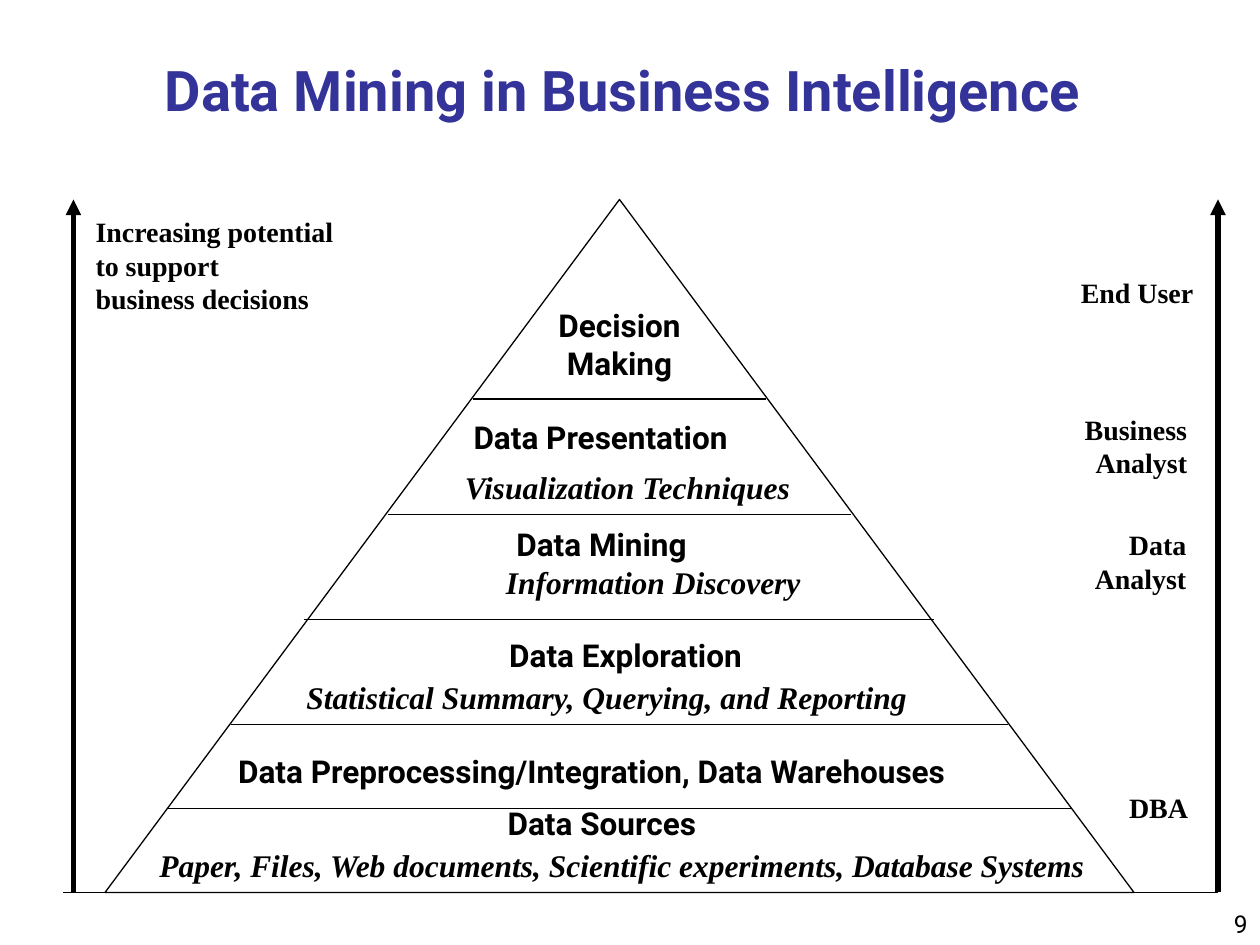
from lxml.etree import SubElement
from pptx import Presentation
from pptx.dml.color import RGBColor
from pptx.enum.shapes import MSO_CONNECTOR, MSO_SHAPE
from pptx.enum.text import MSO_ANCHOR, MSO_AUTO_SIZE, PP_ALIGN
from pptx.oxml.ns import qn
from pptx.util import Pt

COLORS = {"title": "333399", "ink": "000000"}
SANS, SERIF = "Roboto", "Times New Roman"
LEFT, CENTER, RIGHT = PP_ALIGN.LEFT, PP_ALIGN.CENTER, PP_ALIGN.RIGHT

TITLE = "Data Mining in Business Intelligence "
PAGE_NUMBER = "9"

# Pyramid: text, (left, top, width, height), alignment, wrap
LEVELS = [
    ("Decision Making", (306, 171.5, 96, 50.5), CENTER, True),
    ("Data Presentation", (263.5, 235.5, 178.5, 29), LEFT, False),
    ("Data Mining", (288, 296.5, 140.5, 29), LEFT, True),
    ("Data Exploration", (265, 360, 185, 29), CENTER, True),
    ("Data Preprocessing/Integration, Data Warehouses", (129, 426, 468, 29), LEFT, False),
    ("Data Sources", (283, 456, 132, 29), LEFT, False),
]
DETAILS = [
    ("Visualization Techniques", (258.5, 264, 203, 29), False),
    ("Information Discovery", (282, 318, 183, 29), False),
    ("Statistical Summary, Querying, and Reporting", (168, 384, 360, 29), True),
    ("Paper, Files, Web documents, Scientific experiments, Database Systems",
     (84, 480, 561, 29), True),
]

# Labels beside the arrows
POTENTIAL = ("Increasing potential\nto support\nbusiness decisions", (47.5, 119, 150.5, 65))
ROLES = [
    ("End User", (610.5, 154, 78.5, 26.5)),
    ("Business\nAnalyst", (610.5, 232, 75, 46)),
    ("Data\nAnalyst", (618, 298, 67, 46)),
    ("DBA", (638, 448, 48, 26.5)),
]

# Geometry
APEX, BASE = 114, 510
PYRAMID_LEFT, PYRAMID_WIDTH = 60, 588
DIVIDERS = [(96, 612, 462), (132, 576, 414), (174, 534, 354), (222, 486, 294), (270, 438, 228)]
ARROWS = [42, 696]

deck = Presentation()
deck.slide_width, deck.slide_height = Pt(720), Pt(540)
slide = deck.slides.add_slide(deck.slide_layouts[6])


def add_text(text, box, font=SANS, size=18, color="ink", bold=True, italic=False,
             align=LEFT, anchor=MSO_ANCHOR.TOP, wrap=False, grow=True):
    frame = slide.shapes.add_textbox(*map(Pt, box)).text_frame
    frame.word_wrap = wrap
    frame.vertical_anchor = anchor
    frame.auto_size = MSO_AUTO_SIZE.SHAPE_TO_FIT_TEXT if grow else MSO_AUTO_SIZE.NONE
    frame.text = text
    for paragraph in frame.paragraphs:
        paragraph.alignment = align
        style = paragraph.runs[0].font
        style.name, style.size = font, Pt(size)
        style.bold, style.italic = bold, italic
        style.color.rgb = RGBColor.from_string(COLORS[color])


def add_line(x1, y1, x2, y2, width=0.75, arrow=False):
    connector = slide.shapes.add_connector(MSO_CONNECTOR.STRAIGHT, *map(Pt, (x1, y1, x2, y2)))
    connector.line.width = Pt(width)
    connector.line.color.rgb = RGBColor.from_string(COLORS["ink"])
    properties = connector.line._get_or_add_ln().getparent()
    if arrow:
        SubElement(properties.find(qn("a:ln")), qn("a:tailEnd"), type="triangle")
    SubElement(properties, qn("a:effectLst"))


# Page number and title
add_text(PAGE_NUMBER, (570, 504, 150, 36), size=14, bold=False, align=RIGHT,
         anchor=MSO_ANCHOR.BOTTOM, wrap=True, grow=False)
add_text(TITLE, (18, 30, 684, 42), size=32, color="title", align=CENTER,
         anchor=MSO_ANCHOR.MIDDLE, wrap=True, grow=False)

# Pyramid outline and its dividers
pyramid = slide.shapes.add_shape(MSO_SHAPE.FLOWCHART_EXTRACT, Pt(PYRAMID_LEFT), Pt(APEX),
                                 Pt(PYRAMID_WIDTH), Pt(BASE - APEX))
pyramid.shadow.inherit = False
pyramid.fill.background()
pyramid.line.width = Pt(0.75)
pyramid.line.color.rgb = RGBColor.from_string(COLORS["ink"])
for start, end, y in DIVIDERS:
    add_line(start, y, end, y)

# Side arrows and labels
for x in ARROWS:
    add_line(x, BASE, x, APEX, width=3, arrow=True)
add_text(*POTENTIAL, font=SERIF, size=16)
for role, box in ROLES:
    add_text(role, box, font=SERIF, size=16, align=RIGHT)

# Pyramid wording
for level, box, align, wrap in LEVELS:
    add_text(level, box, align=align, wrap=wrap)
for detail, box, wrap in DETAILS:
    add_text(detail, box, font=SERIF, italic=True, wrap=wrap)

# Baseline
add_line(36, BASE, ARROWS[-1], BASE)

deck.save("out.pptx")
